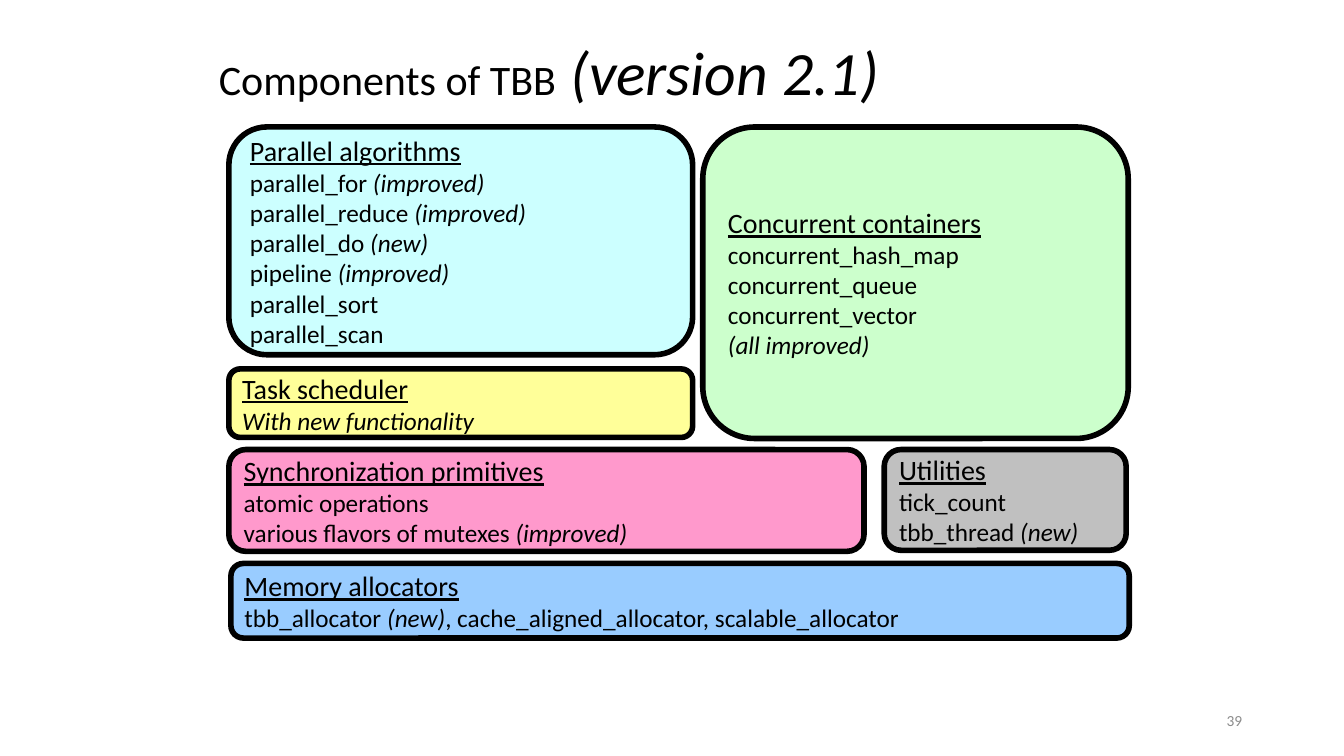
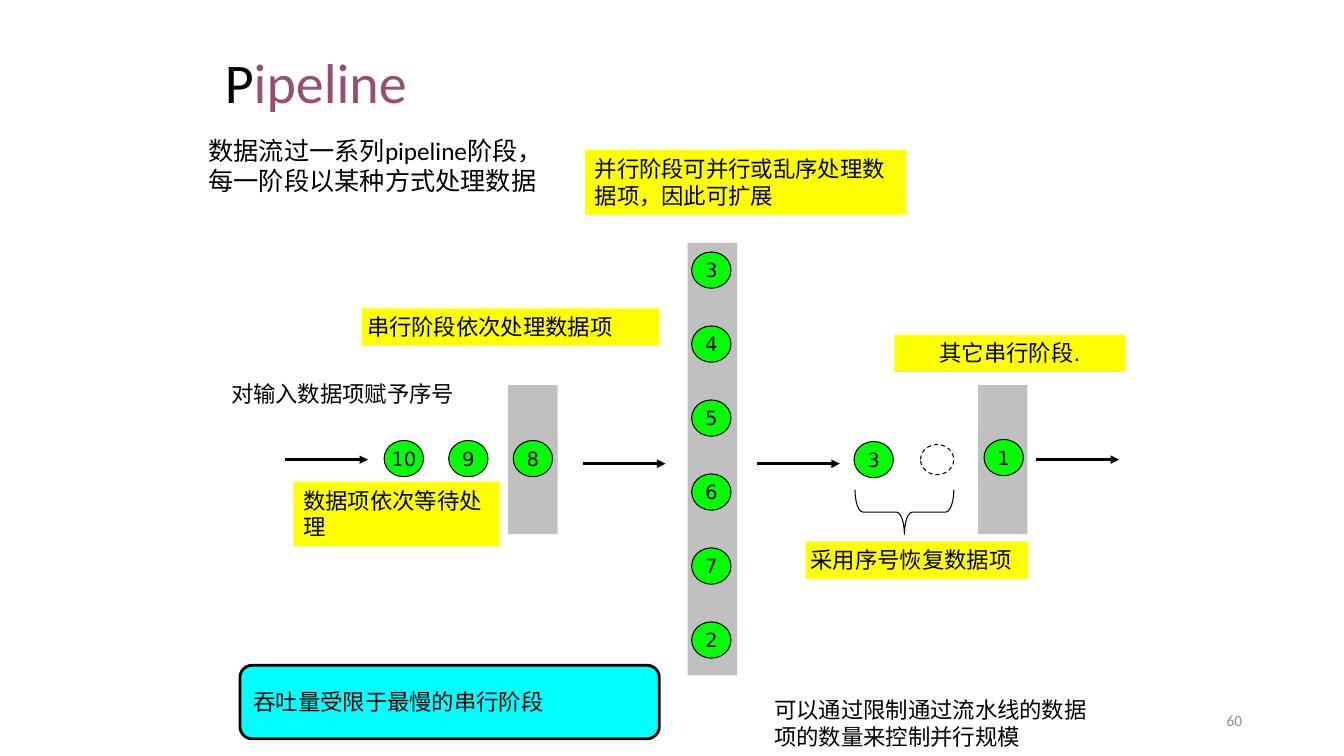
from lxml import etree
from pptx import Presentation
from pptx.dml.color import RGBColor
from pptx.enum.dml import MSO_LINE
from pptx.enum.shapes import MSO_CONNECTOR, MSO_SHAPE
from pptx.enum.text import MSO_ANCHOR, MSO_AUTO_SIZE, PP_ALIGN
from pptx.oxml.ns import qn
from pptx.util import Inches, Pt

# Enum members
LEFT, CENTER, RIGHT = PP_ALIGN.LEFT, PP_ALIGN.CENTER, PP_ALIGN.RIGHT
TOP, MIDDLE = MSO_ANCHOR.TOP, MSO_ANCHOR.MIDDLE
RECTANGLE, ROUNDED = MSO_SHAPE.RECTANGLE, MSO_SHAPE.ROUNDED_RECTANGLE
OVAL, LEFT_BRACE = MSO_SHAPE.OVAL, MSO_SHAPE.LEFT_BRACE
STRAIGHT, DASH, NO_AUTOFIT = MSO_CONNECTOR.STRAIGHT, MSO_LINE.DASH, MSO_AUTO_SIZE.NONE

# Colours
BLACK = RGBColor(0x00, 0x00, 0x00)
PLUM = RGBColor(0x95, 0x4F, 0x72)
FOOTER_GRAY = RGBColor(0x8C, 0x8C, 0x8C)
GRAY = RGBColor(0xC0, 0xC0, 0xC0)
PINK = RGBColor(0xFF, 0x99, 0xCC)
PALE_CYAN = RGBColor(0xCC, 0xFF, 0xFF)
PALE_GREEN = RGBColor(0xCC, 0xFF, 0xCC)
PALE_YELLOW = RGBColor(0xFF, 0xFF, 0x99)
PALE_BLUE = RGBColor(0x99, 0xCC, 0xFF)
YELLOW = RGBColor(0xFF, 0xFF, 0x00)
GREEN = RGBColor(0x00, 0xFF, 0x00)
CYAN = RGBColor(0x00, 0xFF, 0xFF)

# Fonts
MAIN_FONT, LABEL_FONT, NUMBER_FONT = "Calibri", "Arial", "DejaVu Sans"


class Deck:
    """Shared style and the slide being built."""

    def __init__(self):
        self.presentation = Presentation()
        self.presentation.slide_width = Inches(13.33)
        self.presentation.slide_height = Inches(7.5)
        self.slide = None

    def style(self, run, size, font=MAIN_FONT, color=BLACK, italic=False, underline=False):
        run.font.size = Pt(size)
        run.font.name = font
        run.font.color.rgb = color
        run.font.italic = italic
        run.font.underline = underline

    def frame(self, shape, anchor=TOP, insets=(0.1, 0.1)):
        text_frame = shape.text_frame
        text_frame.word_wrap = True
        text_frame.auto_size = NO_AUTOFIT
        text_frame.vertical_anchor = anchor
        text_frame.margin_left, text_frame.margin_right = map(Inches, insets)
        text_frame.margin_top = text_frame.margin_bottom = Inches(0.05)
        return text_frame

    def set_text(self, shape, text, size, font, color=BLACK, align=LEFT, anchor=TOP,
                 insets=(0.1, 0.1)):
        text_frame = self.frame(shape, anchor, insets)
        text_frame.text = text
        paragraph = text_frame.paragraphs[0]
        paragraph.alignment = align
        self.style(paragraph.runs[0], size, font, color)

    def text_box(self, box, text, size, font=LABEL_FONT, **options):
        shape = self.slide.shapes.add_textbox(*map(Inches, box))
        self.set_text(shape, text, size, font, **options)

    def new_slide(self, number, title_box, title_runs):
        """Start a slide with a title of (text, size, color, italic) runs."""
        self.slide = self.presentation.slides.add_slide(self.presentation.slide_layouts[5])
        title = self.slide.shapes.title
        title.left, title.top, title.width, title.height = map(Inches, title_box)
        paragraph = self.frame(title, MIDDLE).paragraphs[0]
        paragraph.alignment = LEFT
        paragraph.line_spacing = 0.9
        for text, size, color, italic in title_runs:
            run = paragraph.add_run()
            run.text = text
            self.style(run, size, color=color, italic=italic)
        self.text_box((9.42, 6.95, 3, 0.4), str(number), 11, MAIN_FONT,
                      color=FOOTER_GRAY, align=RIGHT, anchor=MIDDLE)

    def shape(self, kind, box, fill=None, line_width=0):
        shape = self.slide.shapes.add_shape(kind, *map(Inches, box))
        shape.shadow.inherit = False
        if fill is None:
            shape.fill.background()
        else:
            shape.fill.solid()
            shape.fill.fore_color.rgb = fill
        if line_width:
            shape.line.color.rgb = BLACK
            shape.line.width = Pt(line_width)
        else:
            shape.line.fill.background()
        return shape

    def component(self, box, fill, heading, lines):
        """Rounded box; the parts of each line alternate upright and italic."""
        text_frame = self.frame(self.shape(ROUNDED, box, fill, 4), MIDDLE)
        text_frame.text = heading
        heading_paragraph = text_frame.paragraphs[0]
        heading_paragraph.alignment = LEFT
        self.style(heading_paragraph.runs[0], 20, underline=True)
        for parts in lines:
            paragraph = text_frame.add_paragraph()
            paragraph.alignment = LEFT
            for index, part in enumerate(parts):
                if part:
                    run = paragraph.add_run()
                    run.text = part
                    self.style(run, 18, italic=index % 2 == 1)

    def callout(self, box, text, **options):
        self.set_text(self.shape(RECTANGLE, box, YELLOW), text, 16, LABEL_FONT, **options)

    def item(self, left, top, number):
        circle = self.shape(OVAL, (left, top, 0.39, 0.36), GREEN, 0.75)
        self.set_text(circle, str(number), 14, NUMBER_FONT, align=CENTER, anchor=MIDDLE,
                      insets=(0, 0))
        circle.text_frame.word_wrap = False
        circle.text_frame.margin_top = circle.text_frame.margin_bottom = 0

    def arrow(self, left, top, length=0.82):
        connector = self.slide.shapes.add_connector(
            STRAIGHT, Inches(left), Inches(top), Inches(left + length), Inches(top))
        connector.line.color.rgb = BLACK
        connector.line.width = Pt(2)
        properties = connector._element.spPr
        etree.SubElement(properties.find(qn("a:ln")), qn("a:tailEnd"), type="triangle")
        etree.SubElement(properties, qn("a:effectLst"))


def build_components(deck):
    deck.new_slide(39, (2.07, 0.35, 9.27, 0.8), [
        ("Components of TBB", 30, BLACK, False),
        (" ", 44, BLACK, False),
        ("(version 2.1)", 44, BLACK, True)])
    deck.component((2.27, 4.46, 6.3, 1.01), PINK, "Synchronization primitives", [
        ("atomic operations",),
        ("various flavors of mutexes ", "(improved)")])
    deck.component((2.27, 1.26, 4.6, 2.26), PALE_CYAN, "Parallel algorithms", [
        ("parallel_for ", "(improved)"),
        ("parallel_reduce ", "(improved)"),
        ("parallel_do ", "(new)"),
        ("pipeline ", "(improved)"),
        ("parallel_sort",),
        ("parallel_scan",)])
    deck.component((6.97, 1.26, 4.22, 3.09), PALE_GREEN, "Concurrent containers", [
        ("concurrent_hash_map",),
        ("concurrent_queue",),
        ("concurrent_vector",),
        ("", "(all improved)")])
    deck.component((2.27, 3.66, 4.6, 0.68), PALE_YELLOW, "Task scheduler", [
        ("", "With new functionality")])
    deck.component((2.29, 5.59, 8.91, 0.74), PALE_BLUE, "Memory allocators", [
        ("tbb_allocator ", "(new)", ", cache_aligned_allocator, scalable_allocator")])
    deck.component((8.77, 4.46, 2.4, 1), GRAY, "Utilities", [
        ("tick_count",),
        ("tbb_thread ", "(new)")])


def build_pipeline(deck):
    deck.new_slide(60, (2.13, 0.48, 6.44, 0.73), [
        ("P", 40, BLACK, False), ("ipeline", 40, PLUM, False)])

    # Stages
    for left, top, height in ((5.04, 3.82, 1.48), (6.82, 2.41, 4.29), (9.7, 3.82, 1.48)):
        deck.shape(RECTANGLE, (left, top, 0.49, height), GRAY)

    # Callouts
    deck.callout((5.8, 1.49, 3.19, 0.64), "并行阶段可并行或乱序处理数据项，因此可扩展")
    deck.callout((3.59, 3.06, 2.95, 0.37), "串行阶段依次处理数据项", insets=(0.05, 0.05))
    deck.callout((8.87, 3.32, 2.29, 0.37), "其它串行阶段.", align=CENTER)
    deck.callout((2.91, 4.78, 2.05, 0.64), "数据项依次等待处理")
    deck.callout((7.99, 5.37, 2.21, 0.37), "采用序号恢复数据项", insets=(0.05, 0))

    # Plain notes
    deck.text_box((1.97, 1.29, 3.58, 0.71),
                  "数据流过一系列pipeline阶段，每一阶段以某种方式处理数据", 18, MAIN_FONT)
    deck.text_box((2.17, 3.72, 2.46, 0.37), "对输入数据项赋予序号", 16,
                  align=CENTER, insets=(0, 0))
    deck.text_box((7.58, 6.86, 3.44, 0.64),
                  "可以通过限制通过流水线的数据项的数量来控制并行规模", 16)

    # Flow arrows
    for left, top in ((2.83, 4.56), (5.78, 4.6), (7.51, 4.6), (10.28, 4.56)):
        deck.arrow(left, top)

    # Data items: waiting queue, parallel stage, reordered output
    for index, number in enumerate((10, 9, 8)):
        deck.item(3.81 + 0.64 * index, 4.37, number)
    parallel_step = (6.17 - 2.5) / 5
    for index, number in enumerate((3, 4, 5, 6, 7, 2)):
        deck.item(6.86, 2.5 + parallel_step * index, number)
    deck.item(8.47, 4.38, 3)
    deck.item(9.76, 4.36, 1)
    missing_item = deck.shape(OVAL, (9.13, 4.41, 0.33, 0.3), line_width=0.75)
    missing_item.line.dash_style = DASH

    # Brace under the reordered items
    brace = deck.shape(LEFT_BRACE, (8.75, 4.59, 0.44, 0.98), line_width=0.75)
    brace.adjustments[0] = 0.18
    brace.rotation = 270

    # Conclusion
    conclusion = deck.shape(ROUNDED, (2.38, 6.6, 4.16, 0.73), CYAN, 2)
    deck.set_text(conclusion, "吞吐量受限于最慢的串行阶段", 16, NUMBER_FONT, anchor=MIDDLE)


def main():
    deck = Deck()
    build_components(deck)
    build_pipeline(deck)
    deck.presentation.save("out.pptx")


if __name__ == "__main__":
    main()
